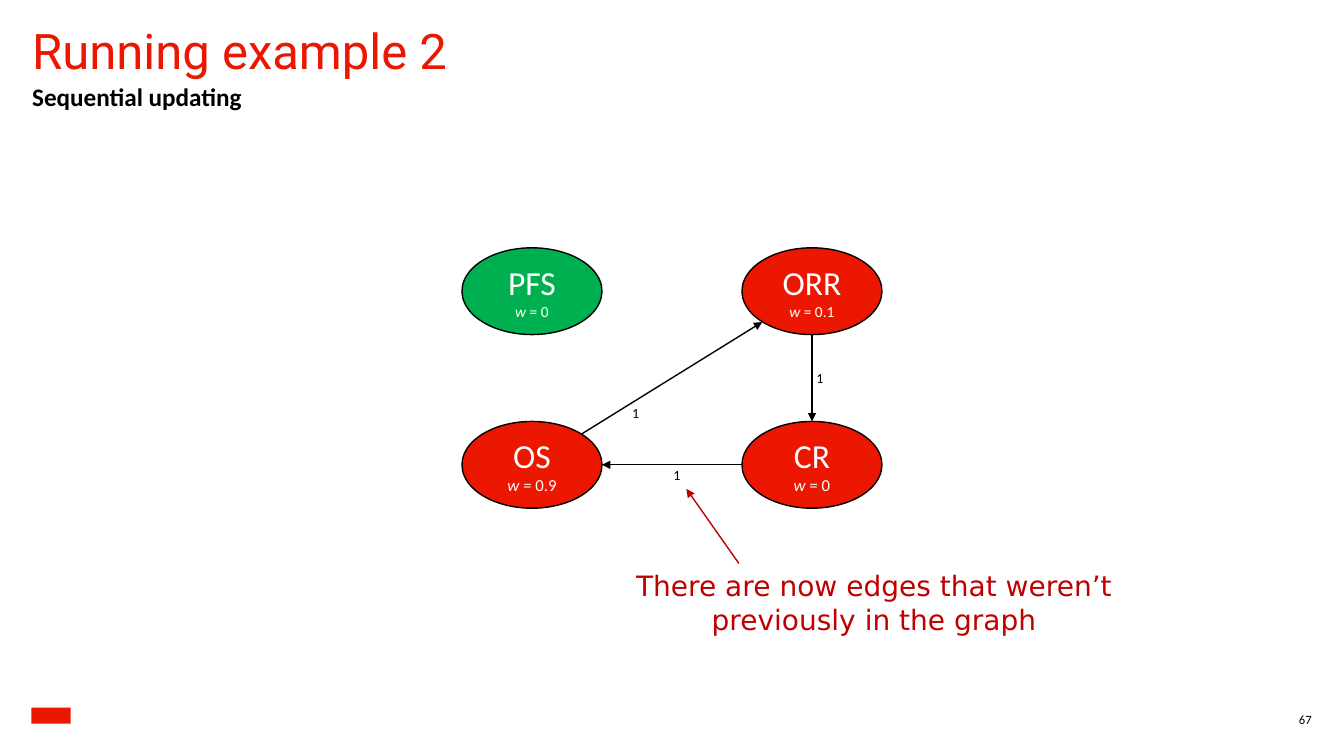
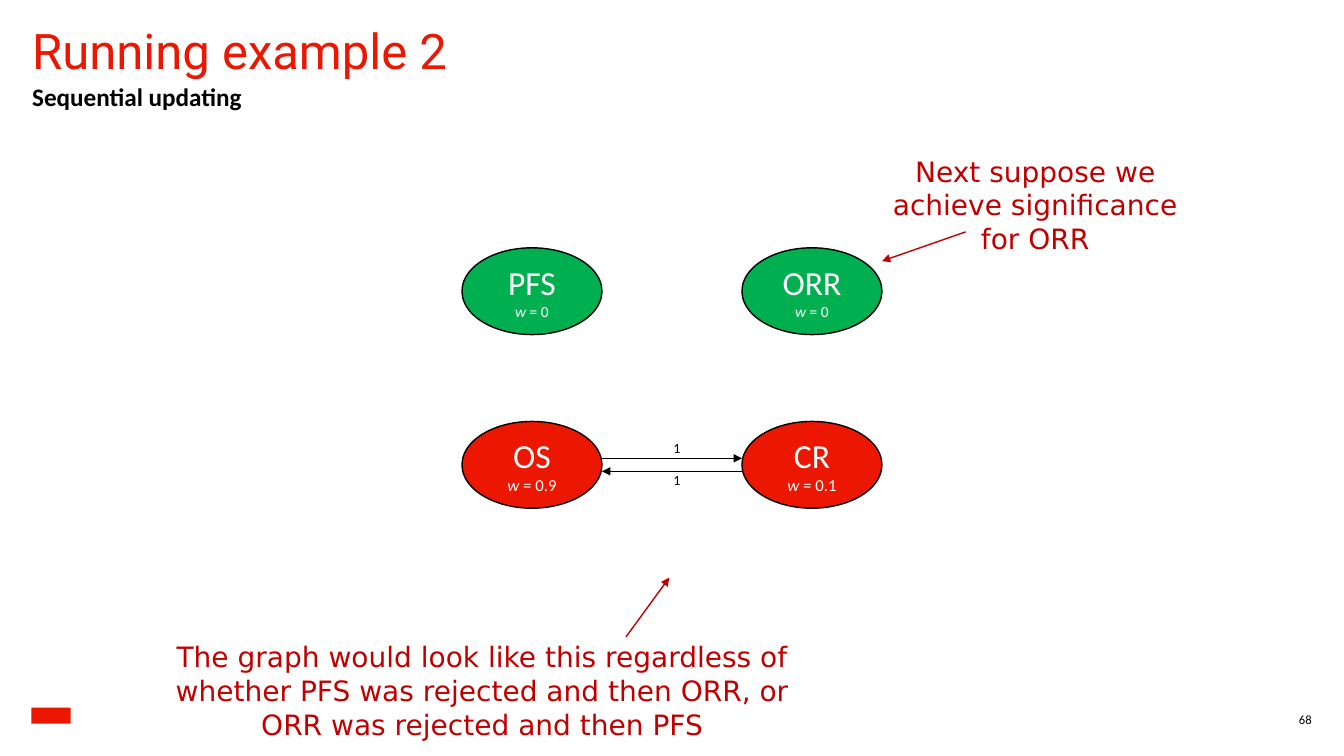
from lxml.etree import SubElement
from pptx import Presentation
from pptx.dml.color import RGBColor
from pptx.enum.shapes import MSO_CONNECTOR, MSO_SHAPE
from pptx.enum.text import MSO_ANCHOR, PP_ALIGN
from pptx.oxml.ns import qn
from pptx.util import Pt


class Theme:
    red = RGBColor(0xEB, 0x17, 0x00)
    green = RGBColor(0x00, 0xB0, 0x50)
    dark = RGBColor(0xC0, 0x00, 0x00)
    black = RGBColor(0, 0, 0)
    white = RGBColor(255, 255, 255)
    body, head, note = "Calibri", "Roboto", "DejaVu Sans"
    title_size, sub_size, note_size = 35, 18, 20
    name_size, edge_size, page_size = 24, 10, 9


# Content
TITLE = "Running example 2"
SUB = "Sequential updating"

# Node grid: column and row of each endpoint
GRID = {"PFS": (0, 0), "ORR": (1, 0), "OS": (0, 1), "CR": (1, 1)}
LEFT, TOP, WIDE, HIGH = 330, 177, 100, 62
STEP_X, STEP_Y = 2 * WIDE, 2 * HIGH

# nodes: name, fill, italic part, upright part, size of the weight
# edges: node and spot, node and spot (spot in half sizes from the centre), label corner
# notes: text, box, arrow from, arrow to
SLIDES = [
    {
        "page": "67",
        "nodes": [
            ("PFS", Theme.green, "w", " = 0", 11),
            ("ORR", Theme.red, "w", " = 0.1", 11),
            ("OS", Theme.red, "w = ", "0.9", 12),
            ("CR", Theme.red, "w = ", "0", 12),
        ],
        "edges": [
            ("OS", (0.71, -0.71), "ORR", (-0.71, 0.71), (438.5, 288.7)),
            ("ORR", (0, 1), "CR", (0, -1), (570.2, 264.2)),
            ("CR", (-1, 0), "OS", (1, 0), (468, 333.4)),
        ],
        "notes": [
            ("There are now edges that weren’t previously in the graph",
             (445, 402.5, 358.6, 55.4), (527.8, 402.5), (490.3, 349.2)),
        ],
    },
    {
        "page": "68",
        "nodes": [
            ("PFS", Theme.green, "w", " = 0", 11),
            ("ORR", Theme.green, "w", " = 0", 11),
            ("OS", Theme.red, "w = ", "0.9", 12),
            ("CR", Theme.red, "w = ", "0.1", 12),
        ],
        "edges": [
            ("OS", (1, -0.15), "CR", (-1, -0.15), (468, 314)),
            ("CR", (-1, 0.15), "OS", (1, 0.15), (468, 337)),
        ],
        "notes": [
            ("Next suppose we achieve significance for ORR",
             (630, 106.6, 219, 80), (689.8, 165.6), (630, 186.5)),
            ("The graph would look like this regardless of whether PFS was "
             "rejected and then ORR, or ORR was rejected and then PFS",
             (115.2, 453.6, 458.6, 80), (447.1, 455), (478.1, 412.6)),
        ],
    },
]


# Helpers
def style(run, size, color, font=Theme.body, bold=False, slant=False):
    run.font.size = Pt(size)
    run.font.color.rgb = color
    run.font.name = font
    run.font.bold = bold
    run.font.italic = slant


def add_text(slide, text, box, size, color, font=Theme.body, bold=False,
             align=PP_ALIGN.LEFT, anchor=MSO_ANCHOR.TOP, space=1.0, inset=(0, 0)):
    frame = slide.shapes.add_textbox(*map(Pt, box)).text_frame
    frame.word_wrap = True
    frame.vertical_anchor = anchor
    frame.margin_left = frame.margin_right = Pt(inset[0])
    frame.margin_top = frame.margin_bottom = Pt(inset[1])
    frame.text = text
    para = frame.paragraphs[0]
    para.alignment = align
    para.line_spacing = space
    style(para.runs[0], size, color, font, bold)


def add_arrow(slide, start, end, color):
    arrow = slide.shapes.add_connector(
        MSO_CONNECTOR.STRAIGHT, *map(Pt, (*start, *end)))
    arrow.line.color.rgb = color
    arrow.line.width = Pt(1)
    props = arrow.element.spPr
    SubElement(props.find(qn("a:ln")), qn("a:tailEnd"), type="triangle")
    SubElement(props, qn("a:effectLst"))


def corner(name):
    col, row = GRID[name]
    return LEFT + col * STEP_X, TOP + row * STEP_Y


def spot(name, part):
    x, y = corner(name)
    return x + WIDE / 2 * (1 + part[0]), y + HIGH / 2 * (1 + part[1])


def add_node(slide, name, fill, slant, plain, size):
    node = slide.shapes.add_shape(
        MSO_SHAPE.OVAL, *map(Pt, (*corner(name), WIDE, HIGH)))
    node.shadow.inherit = False
    node.fill.solid()
    node.fill.fore_color.rgb = fill
    node.line.color.rgb = Theme.black
    node.line.width = Pt(1)
    frame = node.text_frame
    frame.vertical_anchor = MSO_ANCHOR.MIDDLE
    frame.text = f"{name}\n{slant}"
    first, last = frame.paragraphs
    last.add_run().text = plain
    first.alignment = last.alignment = PP_ALIGN.CENTER
    style(first.runs[0], Theme.name_size, Theme.white)
    style(last.runs[0], size, Theme.white, slant=True)
    style(last.runs[1], size, Theme.white)


# Parts that every slide shares
def add_frame(slide, page):
    mark = slide.shapes.add_shape(
        MSO_SHAPE.RECTANGLE, *map(Pt, (22.5, 505.5, 28, 11.5)))
    mark.shadow.inherit = False
    mark.fill.solid()
    mark.fill.fore_color.rgb = Theme.red
    mark.line.fill.background()
    add_text(slide, TITLE, (23, 21, 914, 37), Theme.title_size, Theme.red,
             Theme.head, space=0.85)
    add_text(slide, SUB, (23, 56, 914, 23), Theme.sub_size, Theme.black,
             bold=True, space=1.1)
    add_text(slide, page, (912, 507, 25, 12), Theme.page_size, Theme.black,
             align=PP_ALIGN.RIGHT, anchor=MSO_ANCHOR.MIDDLE, space=1.1)


def add_graph(slide, nodes, edges):
    for start, out, end, into, _ in edges:
        add_arrow(slide, spot(start, out), spot(end, into), Theme.black)
    for node in nodes:
        add_node(slide, *node)
    for *_, place in edges:
        add_text(slide, "1", (*place, 31, 12), Theme.edge_size, Theme.black,
                 align=PP_ALIGN.CENTER)


def main():
    deck = Presentation()
    deck.slide_width, deck.slide_height = Pt(960), Pt(540)
    for data in SLIDES:
        slide = deck.slides.add_slide(deck.slide_layouts[6])
        add_frame(slide, data["page"])
        add_graph(slide, data["nodes"], data["edges"])
        for text, box, start, end in data["notes"]:
            add_text(slide, text, box, Theme.note_size, Theme.dark, Theme.note,
                     align=PP_ALIGN.CENTER, inset=(7.2, 3.6))
            add_arrow(slide, start, end, Theme.dark)
    deck.save("out.pptx")


if __name__ == "__main__":
    main()
